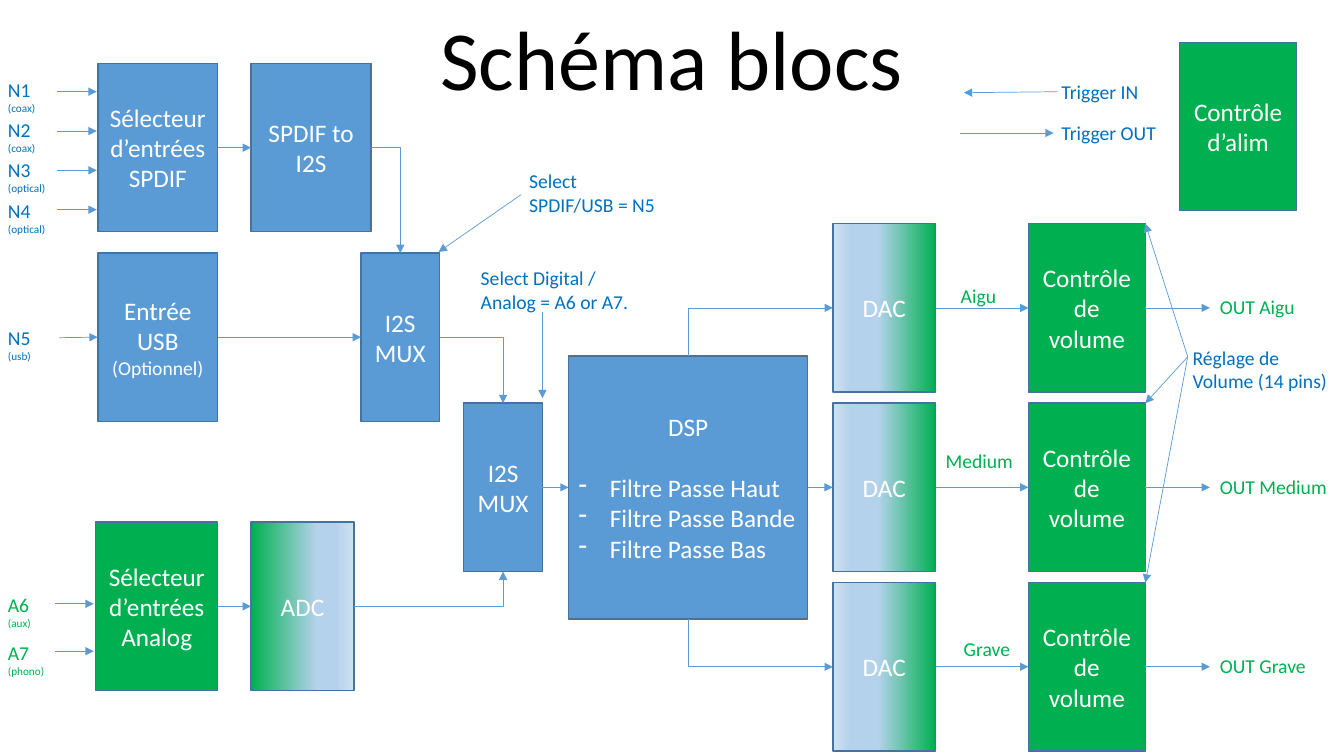
from lxml.etree import SubElement
from pptx import Presentation
from pptx.dml.color import RGBColor
from pptx.enum.shapes import MSO_CONNECTOR as Wire, MSO_SHAPE as Preset
from pptx.enum.text import MSO_ANCHOR as Anchor, MSO_AUTO_SIZE as Fit, PP_ALIGN as Align
from pptx.oxml.ns import qn
from pptx.util import Inches, Pt

COLORS = {"digital": "5B9BD5", "analog": "00B050", "edge": "43739E", "control": "0070C0",
          "pale": "B5D2EC", "paler": "CEE1F2", "white": "FFFFFF", "black": "000000"}
TOP, LEFT, BOTTOM, RIGHT = range(4)
HEIGHT = 1.67


class Diagram:
    """Draws the block diagram's elements on one page in a single style."""

    font = "Calibri"

    def __init__(self, deck):
        """Open a page that has only a title."""
        self.page = deck.slides.add_slide(deck.slide_layouts[5])

    def color(self, name):
        """Look up a named colour."""
        return RGBColor.from_string(COLORS[name])

    def add_span(self, para, text, size, color):
        """Add one styled run to a paragraph."""
        span = para.add_run()
        span.text = text
        span.font.name, span.font.size = self.font, Pt(size)
        span.font.color.rgb = self.color(color)

    def set_lines(self, frame, lines, color, align=Align.LEFT):
        """Fill a text frame with (text, size) lines."""
        for number, (text, size) in enumerate(lines):
            para = frame.add_paragraph() if number else frame.paragraphs[0]
            para.alignment = align
            self.add_span(para, text, size, color)

    def title(self, text, place):
        """Move and fill the title placeholder."""
        title = self.page.shapes.title
        title.left, title.top, title.width, title.height = map(Inches, place)
        frame = title.text_frame
        frame.auto_size, frame.vertical_anchor = Fit.NONE, Anchor.BOTTOM
        self.set_lines(frame, [(text, 60)], "black", Align.CENTER)
        frame.paragraphs[0].line_spacing = 0.9

    def box(self, place, lines, fill="digital"):
        """Add a block with centred white text."""
        box = self.page.shapes.add_shape(Preset.RECTANGLE, *map(Inches, place))
        box.shadow.inherit = False
        box.fill.solid()
        box.fill.fore_color.rgb = self.color(fill)
        box.line.color.rgb, box.line.width = self.color("edge"), Pt(1)
        box.text_frame.word_wrap, box.text_frame.vertical_anchor = True, Anchor.MIDDLE
        self.set_lines(box.text_frame, lines, "white", Align.CENTER)
        return box

    def converter(self, place, name, angle, middle):
        """Add a block shaded between the analog and digital colours."""
        box = self.box(place, [(name, 18)])
        box.fill.gradient()
        box.fill.gradient_angle = angle
        stops = box._element.spPr.find(".//" + qn("a:gsLst"))
        for stop in list(stops):
            stops.remove(stop)
        for position, shade in ((0, "analog"), (middle, "pale"), (83, "pale"), (100, "paler")):
            stop = SubElement(stops, qn("a:gs"), pos=str(position * 1000))
            SubElement(stop, qn("a:srgbClr"), val=COLORS[shade])
        return box

    def bullets(self, box, items):
        """Add a dashed list below the heading of a block."""
        frame = box.text_frame
        frame.paragraphs[0].space_after = Pt(22)
        for item in items:
            para = frame.add_paragraph()
            para.alignment = Align.LEFT
            self.add_span(para, item, 18, "white")
            layout = para._p.get_or_add_pPr()
            layout.set("marL", str(Inches(0.31)))
            layout.set("indent", str(Inches(-0.31)))
            SubElement(layout, qn("a:buChar"), char="-")

    def label(self, left, top, width, lines, color="control"):
        """Add a free text whose height follows its lines."""
        height = 0.1 + sum(size for text, size in lines) * 1.22 / 72
        box = self.page.shapes.add_textbox(*map(Inches, (left, top, width, height)))
        box.text_frame.word_wrap, box.text_frame.auto_size = True, Fit.SHAPE_TO_FIT_TEXT
        self.set_lines(box.text_frame, lines, color)

    def arrow(self, start, end, kind=Wire.STRAIGHT):
        """Draw an arrow between ends given as points or (block, side) pairs."""
        arrow = self.page.shapes.add_connector(kind, 0, 0, 0, 0)
        if isinstance(start[0], (int, float)):
            arrow.begin_x, arrow.begin_y = map(Inches, start)
        else:
            arrow.begin_connect(*start)
        if isinstance(end[0], (int, float)):
            arrow.end_x, arrow.end_y = map(Inches, end)
        else:
            arrow.end_connect(*end)
        arrow.line.color.rgb, arrow.line.width = self.color("digital"), Pt(0.5)
        shape = arrow._element.spPr
        SubElement(shape.find(qn("a:ln")), qn("a:tailEnd"), type="triangle")
        SubElement(shape, qn("a:effectLst"))
        return arrow

    def elbow(self, start, end):
        """Draw an arrow with one corner, leaving upright from a top or bottom side."""
        arrow = self.arrow(start, end, Wire.ELBOW)
        shape = arrow._element.spPr
        shape.find(qn("a:prstGeom")).set("prst", "bentConnector2")
        if start[1] in (TOP, BOTTOM):
            rising = start[1] == TOP
            across, down = arrow.width, arrow.height
            arrow.left += (across - down) // 2
            arrow.top += (down - across) // 2
            arrow.width, arrow.height = down, across
            frame = shape.find(qn("a:xfrm"))
            frame.set("rot", "5400000" if rising else "16200000")
            frame.set("flipH", "1")
            frame.set("flipV", "1" if rising else "0")


def main():
    """Build the block diagram and save it."""
    deck = Presentation()
    deck.slide_width, deck.slide_height = Inches(13.33), Inches(7.5)
    draw = Diagram(deck)
    draw.title("Schéma blocs", (0.91, -0.32, 11.5, 1.45))

    spdif = draw.box((0.97, 0.63, 1.19, HEIGHT), [("Sélecteur", 18), ("d’entrées SPDIF", 18)])
    to_i2s = draw.box((2.49, 0.63, 1.19, HEIGHT), [("SPDIF to I2S", 18)])
    usb = draw.box((0.97, 2.51, 1.19, HEIGHT), [("Entrée", 18), ("USB", 18), ("(Optionnel)", 14)])
    analog = draw.box((0.95, 5.18, 1.21, HEIGHT), [("Sélecteur d’entrées Analog", 18)], "analog")
    adc = draw.converter((2.49, 5.18, 1.02, HEIGHT), "ADC", 0, 64)
    source_mux, main_mux = (draw.box((left, top, 0.78, HEIGHT), [("I2S MUX", 18)])
                            for left, top in ((3.58, 2.51), (4.6, 4)))
    dsp = draw.box((5.64, 3.53, 2.37, 2.61), [("DSP", 18)])
    draw.bullets(dsp, ["Filtre Passe Haut", "Filtre Passe Bande", "Filtre Passe Bas"])
    draw.box((11.7, 0.42, 1.16, HEIGHT), [("Contrôle d’alim", 18)], "analog")

    for row, plug in enumerate(["coax", "coax", "optical", "optical"]):
        draw.label(-0.02, 0.72 + 0.4 * row, 0.64, [(f"N{row + 1}", 14), (f"({plug})", 8)])
        height = 0.91 + 0.39 * row
        draw.arrow((0.57, height), (0.96, height))
    draw.label(-0.02, 3.18, 0.66, [("N5", 14), ("(usb)", 8)])
    draw.arrow((0.59, 3.35), (usb, LEFT))
    for row, plug in enumerate(["aux", "phono"]):
        draw.label(-0.02, 5.83 + 0.48 * row, 0.6, [(f"A{row + 6}", 14), (f"({plug})", 8)], "analog")
        height = 5.99 + 0.47 * row
        draw.arrow((0.55, height), (0.93, height))

    for start, end in ((spdif, to_i2s), (usb, source_mux), (analog, adc), (main_mux, dsp)):
        draw.arrow((start, RIGHT), (end, LEFT))
    draw.elbow((to_i2s, RIGHT), (source_mux, TOP))
    draw.elbow((source_mux, RIGHT), (main_mux, TOP))
    draw.elbow((adc, RIGHT), (main_mux, BOTTOM))

    channels = [("Aigu", 9.43, 2.77, TOP), ("Medium", 9.28, 4.4, RIGHT), ("Grave", 9.46, 6.27, BOTTOM)]
    for row, (name, left, height, side) in enumerate(channels):
        top = 2.22 + 1.78 * row
        dac = draw.converter((8.26, top, 1.02, HEIGHT), "DAC", 180, 56)
        volume = draw.box((10.2, top, 1.16, HEIGHT), [("Contrôle de volume", 18)], "analog")
        link = draw.arrow if side == RIGHT else draw.elbow
        link((dsp, side), (dac, LEFT))
        draw.arrow((dac, RIGHT), (volume, LEFT))
        draw.arrow((volume, RIGHT), (12, top + HEIGHT / 2))
        draw.label(left, height, 1.12, [(name, 14)], "analog")
        draw.label(12, top + 0.66, 1.34, [(f"OUT {name}", 14)], "analog")
        draw.arrow((11.78, 3.54), (11.36, top))

    draw.label(11.73, 3.38, 1.6, [("Réglage de Volume (14 pins)", 14)])
    draw.label(5.15, 1.63, 1.46, [("Select SPDIF/USB = N5", 14)])
    draw.arrow((5.17, 1.93), (4.35, 2.5))
    draw.label(4.67, 2.59, 1.93, [("Select Digital / Analog = A6 or A7.", 14)])
    draw.arrow((5.38, 3.1), (5.38, 3.95))
    draw.label(10.43, 0.74, 1.46, [("Trigger IN", 14)])
    draw.arrow((10.49, 0.91), (9.56, 0.92))
    draw.label(10.43, 1.15, 1.46, [("Trigger OUT", 14)])
    draw.arrow((9.52, 1.32), (10.45, 1.32))
    deck.save("out.pptx")


if __name__ == "__main__":
    main()
